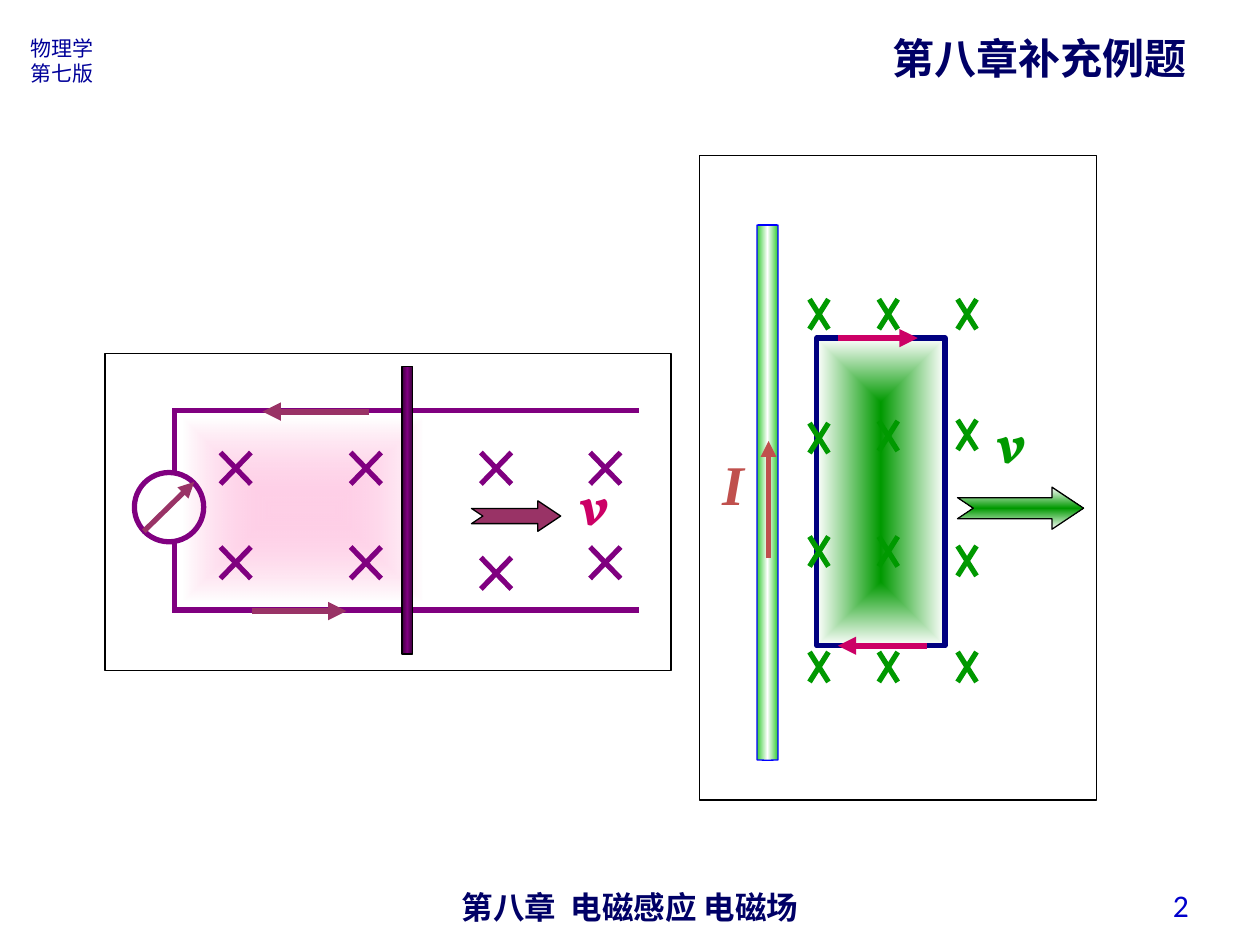
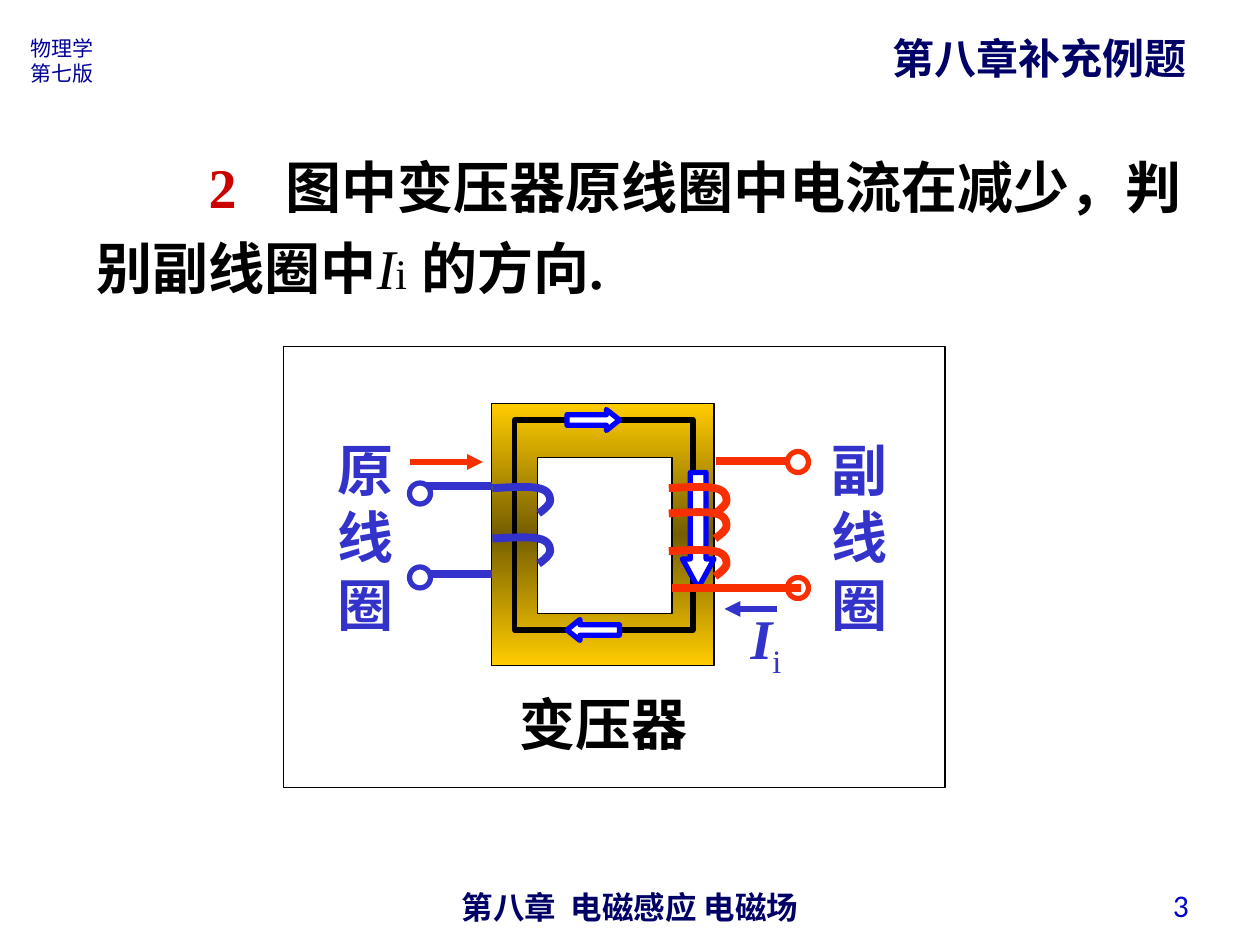
from dataclasses import dataclass
from itertools import product

from lxml import etree
from pptx import Presentation
from pptx.dml.color import RGBColor
from pptx.enum.shapes import MSO_CONNECTOR, MSO_SHAPE
from pptx.enum.text import MSO_ANCHOR, MSO_AUTO_SIZE, PP_ALIGN
from pptx.oxml.ns import qn
from pptx.util import Inches, Pt

RECT, OVAL, CAN = MSO_SHAPE.RECTANGLE, MSO_SHAPE.OVAL, MSO_SHAPE.CAN
NOTCHED = MSO_SHAPE.NOTCHED_RIGHT_ARROW
RIGHT_ARROW, LEFT_ARROW, DOWN_ARROW = (
    MSO_SHAPE.RIGHT_ARROW, MSO_SHAPE.LEFT_ARROW, MSO_SHAPE.DOWN_ARROW)
STRAIGHT = MSO_CONNECTOR.STRAIGHT
TOP, MIDDLE = MSO_ANCHOR.TOP, MSO_ANCHOR.MIDDLE
LEFT, CENTER, RIGHT = PP_ALIGN.LEFT, PP_ALIGN.CENTER, PP_ALIGN.RIGHT
FIT = MSO_AUTO_SIZE.SHAPE_TO_FIT_TEXT

BLACK = RGBColor(0x00, 0x00, 0x00)
WHITE = RGBColor(0xFF, 0xFF, 0xFF)
TITLE_NAVY = RGBColor(0x00, 0x00, 0x66)
EDITION_BLUE = RGBColor(0x00, 0x00, 0x99)
NUMBER_BLUE = RGBColor(0x00, 0x00, 0xCC)
PURPLE = RGBColor(0x80, 0x00, 0x80)
DARK_PURPLE = RGBColor(0x3B, 0x00, 0x3B)
PLUM = RGBColor(0x99, 0x33, 0x66)
PINK = RGBColor(0xFF, 0x99, 0xCC)
MAGENTA = RGBColor(0xCC, 0x00, 0x66)
GREEN = RGBColor(0x00, 0x99, 0x00)
LIGHT_GREEN = RGBColor(0x33, 0xCC, 0x33)
NAVY = RGBColor(0x00, 0x00, 0x80)
BLUE = RGBColor(0x00, 0x00, 0xFF)
BRICK = RGBColor(0xC0, 0x50, 0x4D)
GOLD = RGBColor(0xFF, 0xCC, 0x00)
DARK_GOLD = RGBColor(0x76, 0x5E, 0x00)
COIL_BLUE = RGBColor(0x33, 0x33, 0xCC)
COIL_RED = RGBColor(0xF8, 0x2F, 0x00)
NUMERAL_RED = RGBColor(0xCC, 0x00, 0x00)

HAN, SERIF, SCRIPT = "Noto Sans CJK SC", "Times New Roman", "Vollkorn"
COLUMNS, ROWS = 120, 90
SLIDE_WIDTH, SLIDE_HEIGHT = Inches(10), Inches(7.5)
CELL = SLIDE_WIDTH // COLUMNS
SYMBOL = {"name": SERIF, "size": Pt(32), "bold": True, "italic": True}
LABEL = {"name": SERIF, "size": Pt(32), "bold": True}


def child(parent, tag, **values):
    node = etree.SubElement(parent, qn(tag))
    for key, value in values.items():
        node.set(key, str(value))
    return node


def paint_gradient(shape, colors, angle=None, alpha=None):
    """Spread colours evenly: along an angle, or outward from the middle."""
    shape.fill.gradient()
    gradient = shape._element.spPr.find(qn("a:gradFill"))
    for node in list(gradient):
        gradient.remove(node)
    stops = child(gradient, "a:gsLst")
    for index, color in enumerate(colors):
        stop = child(stops, "a:gs", pos=100000 * index // (len(colors) - 1))
        tint = child(stop, "a:srgbClr", val=color)
        if alpha and index == 0:
            child(tint, "a:alpha", val=alpha * 1000)
    if angle is None:
        outward = child(gradient, "a:path", path="rect")
        child(outward, "a:fillToRect", l=50000, t=50000, r=50000, b=50000)
    else:
        child(gradient, "a:lin", ang=angle * 60000, scaled=0)


def finish(shape, fill=None, line=None, width=0.75):
    shape.shadow.inherit = False
    if fill is None:
        shape.fill.background()
    elif isinstance(fill, dict):
        paint_gradient(shape, **fill)
    else:
        shape.fill.solid()
        shape.fill.fore_color.rgb = fill
    if line is None:
        shape.line.fill.background()
    else:
        shape.line.color.rgb = line
        shape.line.width = Pt(width)


def add_span(para, text, color, style, baseline=None):
    span = para.add_run()
    span.text = text
    for key, value in style.items():
        setattr(span.font, key, value)
    span.font.color.rgb = color
    properties = span._r.get_or_add_rPr()
    child(properties, "a:ea", typeface=HAN)
    if baseline:
        properties.set("baseline", str(baseline * 1000))


@dataclass
class Panel:
    """A box on the grid; its parts are placed in cells from its corner."""
    page: object
    left: float = 0
    top: float = 0
    width: float = COLUMNS
    height: float = ROWS

    def point(self, col, row):
        return round((self.left + col) * CELL), round((self.top + row) * CELL)

    def area(self, col, row, width, height):
        return *self.point(col, row), round(width * CELL), round(height * CELL)

    def shape(self, kind, box, adjust=(), **look):
        shape = self.page.shapes.add_shape(kind, *self.area(*box))
        for index, value in enumerate(adjust):
            shape.adjustments[index] = value
        finish(shape, **look)

    def outline(self):
        self.shape(RECT, (0, 0, self.width, self.height), line=BLACK)

    def line(self, start, end, color, width=3, arrow=False):
        line = self.page.shapes.add_connector(
            STRAIGHT, *self.point(*start), *self.point(*end))
        line.line.color.rgb = color
        line.line.width = Pt(width)
        if arrow:
            child(line.line._get_or_add_ln(), "a:tailEnd", type="triangle")
        child(line._element.spPr, "a:effectLst")

    def cross(self, col, row, width, height, color):
        """A field line pointing into the page."""
        self.line((col + width, row), (col, row + height), color)
        self.line((col, row), (col + width, row + height), color)

    def text(self, box, *paragraphs, align=LEFT, anchor=TOP, wrap=True, inset=True):
        """Each paragraph is a list of (text, colour, style[, baseline])."""
        frame = self.page.shapes.add_textbox(*self.area(*box)).text_frame
        frame.word_wrap = wrap
        frame.auto_size = FIT
        frame.vertical_anchor = anchor
        if not inset:
            for side in ("left", "top", "right", "bottom"):
                setattr(frame, f"margin_{side}", 0)
        for index, spans in enumerate(paragraphs):
            para = frame.add_paragraph() if index else frame.paragraphs[0]
            para.alignment = align
            for span in spans:
                add_span(para, *span)
        return frame


def add_page(deck, number):
    page = deck.slides.add_slide(deck.slide_layouts[6])
    sheet = Panel(page)
    # Footer, chapter title, book edition and page number
    sheet.text((41, 84, 38, 3.5), [("第八章  电磁感应 电磁场", TITLE_NAVY,
               {"name": "Arial", "size": Pt(18), "bold": True})], align=CENTER)
    sheet.text((83.8, 2.5, 30.4, 6), [("第八章补充例题", TITLE_NAVY,
               {"name": HAN, "size": Pt(24), "bold": True})], wrap=False)
    edition = {"name": HAN, "size": Pt(12)}
    sheet.text((1.7, 2.8, 8.6, 6), [("物理学", EDITION_BLUE, edition)],
               [("第七版", EDITION_BLUE, edition)])
    sheet.text((86.4, 83.8, 28, 4.8), [(str(number), NUMBER_BLUE,
               {"name": "Calibri", "size": Pt(18)})], align=RIGHT, anchor=MIDDLE)
    return page


def draw_rail_circuit(panel):
    # Field region between the rails
    panel.shape(RECT, (7.5, 6.2, 22.7, 17.3),
                fill={"colors": (PINK, WHITE), "alpha": 46})
    top_rail, bottom_rail = 5.4, 24.4
    for row in (top_rail, bottom_rail):
        panel.line((6.4, row), (50.9, row), PURPLE)
    for col, low_row in ((11, 18.4), (23.4, 18.4), (35.8, 19.4), (46.2, 18.4)):
        for row in (9.4, low_row):
            panel.cross(col, row, 2.9, 3, PURPLE)
    # Galvanometer
    panel.line((6.6, bottom_rail), (6.6, 17.9), PURPLE)
    panel.line((6.6, 11.3), (6.6, top_rail), PURPLE)
    panel.shape(OVAL, (2.8, 11.3, 6.6, 6.6), line=PURPLE, width=3)
    panel.line((3.7, 16.9), (8.5, 12.2), PLUM, arrow=True)
    panel.outline()
    # Induced current
    panel.line((25.1, 5.5), (15, 5.5), PLUM, 3.5, arrow=True)
    panel.line((14, 24.5), (23, 24.5), PLUM, 3.5, arrow=True)
    # Moving rod and its velocity
    panel.shape(NOTCHED, (34.9, 14, 8.5, 2.9), (0.5, 0.75), fill=PLUM, line=BLACK)
    panel.text((44, 10.4, 5.5, 7.7), [("v", MAGENTA, {**SYMBOL, "name": SCRIPT})],
               wrap=False)
    panel.shape(RECT, (28.3, 1.2, 1, 27.4), line=BLACK,
                fill={"colors": (DARK_PURPLE, PURPLE, DARK_PURPLE), "angle": 0})


def draw_wire_and_loop(panel):
    # Loop and its velocity
    loop_top, loop_bottom = 17.4, 46.7
    panel.shape(RECT, (11.2, loop_top, 12.2, loop_bottom - loop_top),
                fill={"colors": (GREEN, WHITE)}, line=NAVY, width=3)
    panel.text((28.3, 24, 3.1, 6.4), [("v", GREEN, {**SYMBOL, "name": SCRIPT})],
               wrap=False, inset=False)
    panel.shape(NOTCHED, (24.6, 31.6, 12, 4), (0.5, 0.75), line=BLACK,
                fill={"colors": (WHITE, GREEN, WHITE), "angle": 90})
    # Straight wire with its current
    panel.shape(CAN, (5.5, 6.6, 2, 51), (0.03,), line=BLUE,
                fill={"colors": (LIGHT_GREEN, WHITE, LIGHT_GREEN), "angle": 0})
    panel.line((6.6, 38.3), (6.6, 27.2), BRICK, arrow=True)
    panel.text((1, 27.4, 5.6, 7.7), [("I", BRICK, SYMBOL)])
    # Field crosses
    field_columns = {10.5: (13.7, 25.5, 36.3, 47.3),
                     17.1: (13.7, 25.3, 36.3, 47.3),
                     24.6: (13.7, 25.2, 37.2, 47.3)}
    for col, rows in field_columns.items():
        for row in rows:
            panel.cross(col, row, 1.8, 2.85, GREEN)
    panel.outline()
    # Induced current
    panel.line((21.7, loop_bottom), (13.2, loop_bottom), MAGENTA, 3.5, arrow=True)
    panel.line((13.2, loop_top), (20.8, loop_top), MAGENTA, 3.5, arrow=True)


def write_problem(panel):
    plain = {"name": SERIF, "size": Pt(32)}
    frame = panel.text((0, 0, panel.width, panel.height), [
        ("2\t", NUMERAL_RED, LABEL),
        ("图中变压器原线圈中电流在减少，判别副线圈中", BLACK, LABEL),
        ("I", BLACK, {**plain, "italic": True}),
        ("i", BLACK, {**plain, "size": Pt(24)}),
        (" ", BLACK, SYMBOL),
        ("的方向.", BLACK, LABEL)])
    para = frame.paragraphs[0]
    para.line_spacing = 1.2
    properties = para._p.get_or_add_pPr()
    properties.set("indent", str(Inches(0.89)))
    tabs = child(properties, "a:tabLst")
    child(tabs, "a:tab", pos=Inches(1.42), algn="l")


def bezier(start, first, second, end, steps=8):
    for step in range(1, steps + 1):
        t = step / steps
        weights = ((1 - t) ** 3, 3 * t * (1 - t) ** 2, 3 * t * t * (1 - t), t ** 3)
        yield tuple(sum(weight * spot[axis] for weight, spot
                        in zip(weights, (start, first, second, end)))
                    for axis in (0, 1))


def draw_turn(panel, col, row, color):
    """One turn of a coil, hooked round the right edge of a limb."""
    start, shoulder, edge, tip = (0, 0.2), (4.4, 0.2), (5.5, 1.4), (4.4, 2.6)
    curve = [*bezier(start, (1.8, 0.1), (3.5, 0), shoulder),
             *bezier(shoulder, (5.4, 0.4), (5.5, 1), edge),
             *bezier(edge, (5.5, 1.8), (4.7, 2.4), tip)]
    spots = [panel.point(col + x, row + y) for x, y in curve]
    builder = panel.page.shapes.build_freeform(
        *panel.point(col + start[0], row + start[1]))
    builder.add_line_segments(spots, close=False)
    finish(builder.convert_to_shape(), line=color, width=4.5)


def draw_transformer(panel):
    panel.outline()
    # Iron core
    panel.shape(RECT, (19.8, 5.4, 21.2, 25), line=BLACK,
                fill={"colors": (GOLD, DARK_GOLD, GOLD), "angle": 90})
    panel.shape(RECT, (24.2, 10.6, 12.8, 14.8), fill=WHITE, line=BLACK)
    # Leads and terminals
    for row in (13.3, 21.7):
        panel.line((19.9, row), (13.2, row), COIL_BLUE, 4.5)
    panel.line((41.2, 10.9), (49, 10.9), COIL_RED, 4.5)
    for (col, color), rows in (((48, COIL_RED), (10, 22)),
                               ((12, COIL_BLUE), (13, 21))):
        for row in rows:
            panel.shape(OVAL, (col, row, 2, 2), fill=WHITE, line=color, width=3)
    # Labels
    for box, caption, color in (((4, 7.9, 6.4, 20.4), "原线圈", COIL_BLUE),
                                ((51, 7.9, 6.4, 20.4), "副线圈", COIL_BLUE),
                                ((20.3, 32, 20.3, 7.7), "变压器", BLACK)):
        panel.text(box, [(caption, color, LABEL)], align=CENTER, anchor=MIDDLE)
    panel.line((12, 11), (19, 11), COIL_RED, arrow=True)
    # Magnetic flux round the core
    panel.shape(RECT, (22, 7, 17, 20), line=BLACK, width=3)
    for kind, box, head in ((RIGHT_ARROW, (27, 6, 5, 2), 0.62),
                            (LEFT_ARROW, (27, 26, 5, 2), 0.62),
                            (DOWN_ARROW, (38, 12, 3, 11), 0.92)):
        panel.shape(kind, box, (0.5, head), fill=WHITE, line=BLUE, width=3)
    # Coils and induced current
    panel.line((47, 25), (42, 25), COIL_BLUE, arrow=True)
    panel.line((37, 23), (49.3, 23), COIL_RED, 4.5)
    turns = [*product((36.7,), (13.3, 15.7, 19.3), (COIL_RED,)),
             *product((19.9,), (18.1, 13.3), (COIL_BLUE,))]
    for turn in turns:
        draw_turn(panel, *turn)
    panel.text((43.3, 23.9, 5.3, 8.5),
               [("I", COIL_BLUE, SYMBOL),
                ("i", COIL_BLUE, {"name": SERIF, "size": Pt(32)}, -25)],
               align=CENTER, anchor=MIDDLE, wrap=False)


def main():
    deck = Presentation()
    deck.slide_width, deck.slide_height = SLIDE_WIDTH, SLIDE_HEIGHT
    page = add_page(deck, 2)
    draw_wire_and_loop(Panel(page, 66.6, 14.8, 37.8, 61.4))
    draw_rail_circuit(Panel(page, 10, 33.7, 53.9, 30.2))
    page = add_page(deck, 3)
    write_problem(Panel(page, 8, 12.7, 106, 16.6))
    draw_transformer(Panel(page, 27, 33, 63, 42))
    deck.save("out.pptx")


if __name__ == "__main__":
    main()
